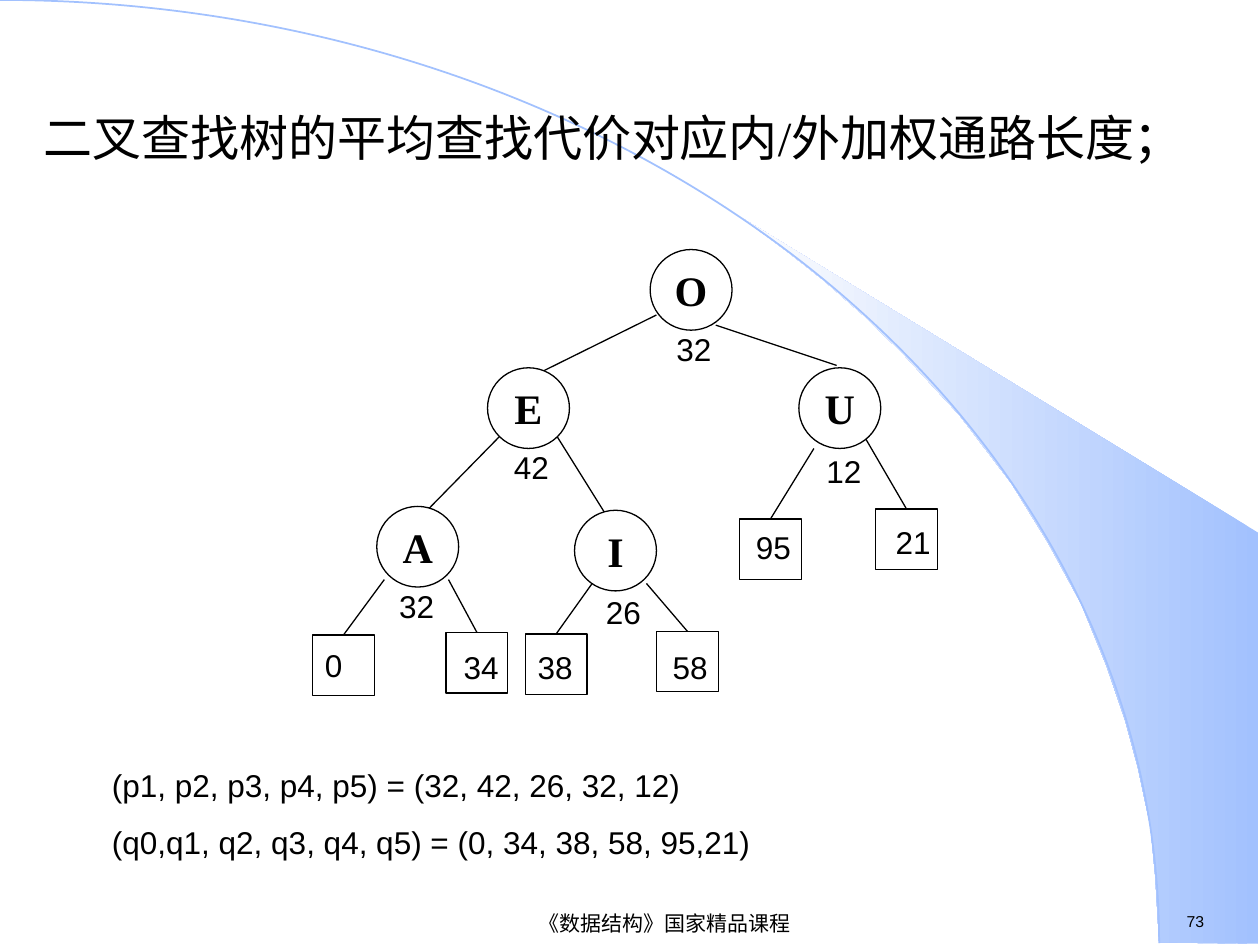
from lxml.etree import SubElement
from pptx import Presentation
from pptx.dml.color import RGBColor
from pptx.enum.shapes import MSO_CONNECTOR, MSO_SHAPE
from pptx.enum.text import MSO_ANCHOR, PP_ALIGN
from pptx.oxml.ns import qn
from pptx.util import Pt

BLACK = RGBColor(0, 0, 0)
WHITE = RGBColor(255, 255, 255)
BLUE = RGBColor(0xA2, 0xC1, 0xFE)
PALE = RGBColor(0xFE, 0xFE, 0xFE)
SANS, SERIF = "Arial", "Times New Roman"

WEDGE = [
    (662.4, 538.6), (719.3, 539.3), (719.3, 304.6), (424.1, 124.6),
    (449.3, 143.3), (470.2, 159.8), (493.2, 180), (515.5, 201.6),
    (548.6, 237.6), (578.2, 276.5), (599, 310.3), (617.8, 344.9),
    (632.2, 380.2), (643, 411.8), (650.2, 438.5), (657.4, 472.3),
    (660.2, 501.1),
]
# key, circle corner, weight, weight corner
NODES = [
    ("O", (371.5, 142.6), "32", (379.4, 185)),
    ("E", (278.6, 210.2), "42", (286.6, 252.7)),
    ("A", (215.3, 289.4), "32", (221, 331.9)),
    ("U", (456.5, 210.2), "12", (465.1, 254.9)),
    ("I", (328.3, 291.6), "26", (339.1, 335.5)),
]
# weight, box corner, weight corner, start of the edge from the parent
LEAVES = [
    ("0", (178.6, 362.9), (178.6, 365.8), (219.6, 331.2)),
    ("34", (254.9, 361.4), (257.8, 366.5), (256.3, 331.2)),
    ("38", (300.2, 362.2), (300.2, 366.5), (338.4, 333.4)),
    ("58", (375.1, 360.7), (377.3, 366.5), (369.4, 333.4)),
    ("95", (422.6, 296.6), (424.8, 298.1), (465.1, 256.3)),
    ("21", (500.4, 290.9), (504.7, 295.2), (494.6, 250.6)),
]
EDGES = [
    ((375.1, 180), (309.6, 212.4)),
    ((409, 185.8), (478.1, 208.8)),
    ((285.8, 249.1), (244.8, 290.9)),
    ((316.8, 247), (347.8, 296.6)),
]


class Page:
    """Holds the style and the slide being drawn."""
    thin = Pt(0.75)
    node = (46.8, 46.1)
    leaf = (35.3, 34.6)
    tag = (48, 28.8)

    def __init__(self, slide):
        self.slide = slide
        self.shapes = slide.shapes

    def font(self, frame, size, face, bold=False, align=PP_ALIGN.LEFT):
        for para in frame.paragraphs:
            para.alignment = align
            for run in para.runs:
                run.font.size = Pt(size)
                run.font.name = face
                run.font.bold = bold
                run.font.color.rgb = BLACK

    def text(self, words, spot, size, pts=18, face=SANS, gap=0,
             align=PP_ALIGN.LEFT, anchor=MSO_ANCHOR.TOP):
        box = self.shapes.add_textbox(*map(Pt, spot + size))
        frame = box.text_frame
        frame.word_wrap = True
        frame.vertical_anchor = anchor
        frame.text = words
        for para in frame.paragraphs[1:]:
            para.space_before = Pt(gap)
        self.font(frame, pts, face, align=align)

    def shape(self, kind, spot, size):
        item = self.shapes.add_shape(kind, *map(Pt, spot + size))
        item.shadow.inherit = False
        item.fill.solid()
        item.fill.fore_color.rgb = WHITE
        item.line.color.rgb = BLACK
        item.line.width = self.thin
        return item

    def box(self, spot):
        return self.shape(MSO_SHAPE.RECTANGLE, spot, self.leaf)

    def ring(self, key, spot):
        frame = self.shape(MSO_SHAPE.OVAL, spot, self.node).text_frame
        frame.margin_left = frame.margin_right = Pt(1.4)
        frame.margin_top = frame.margin_bottom = Pt(0.7)
        frame.vertical_anchor = MSO_ANCHOR.MIDDLE
        frame.text = key
        self.font(frame, 24, SERIF, True, PP_ALIGN.CENTER)

    def edge(self, start, end, box=None):
        """Draw a line, joined to the top of a box if one is given."""
        line = self.shapes.add_connector(
            MSO_CONNECTOR.STRAIGHT, *map(Pt, start + end))
        if box is not None:
            line.end_connect(box, 0)
        line.line.color.rgb = BLACK
        line.line.width = self.thin
        SubElement(line._element.spPr, qn("a:effectLst"))

    def wedge(self, points):
        first, *rest = [tuple(map(Pt, point)) for point in points]
        form = self.shapes.build_freeform(*first)
        form.add_line_segments(rest, close=True)
        item = form.convert_to_shape()
        item.shadow.inherit = False
        item.fill.gradient()
        item.fill.gradient_angle = 180
        for stop, color in zip(item.fill.gradient_stops, (BLUE, PALE)):
            stop.color.rgb = color
        item.line.fill.background()

    def arc(self, spot, size):
        item = self.shape(MSO_SHAPE.ARC, spot, size)
        item.fill.background()
        item.line.color.rgb = BLUE
        item.line.width = Pt(1)


def main():
    deck = Presentation()
    deck.slide_width, deck.slide_height = Pt(720), Pt(540)
    page = Page(deck.slides.add_slide(deck.slide_layouts[6]))

    page.wedge(WEDGE)
    page.arc((-662.4, 0), (1324.8, 1077.8))
    page.text("73", (671, 517.7), (49, 18), 9)
    page.text("《数据结构》国家精品课程", (172.8, 519.1), (414, 17.3), 12,
              align=PP_ALIGN.CENTER, anchor=MSO_ANCHOR.MIDDLE)
    page.text("二叉查找树的平均查找代价对应内/外加权通路长度；",
              (18, 57.6), (702, 56.2), 28, SERIF)

    boxes = [page.box(spot) for _, spot, _, _ in LEAVES]
    for start, end in EDGES:
        page.edge(start, end)
    for box, (_, spot, _, start) in zip(boxes, LEAVES):
        page.edge(start, spot, box)
    for key, spot, _, _ in NODES:
        page.ring(key, spot)

    page.text("(p1, p2, p3, p4, p5) = (32, 42, 26, 32, 12)\n"
              "(q0,q1, q2, q3, q4, q5) = (0, 34, 38, 58, 95,21)",
              (56.9, 434.2), (632.2, 61.9), gap=11.2)
    for _, _, weight, spot in NODES:
        page.text(weight, spot, page.tag)
    for weight, _, spot, _ in LEAVES:
        page.text(weight, spot, page.tag)
    deck.save("out.pptx")


if __name__ == "__main__":
    main()
